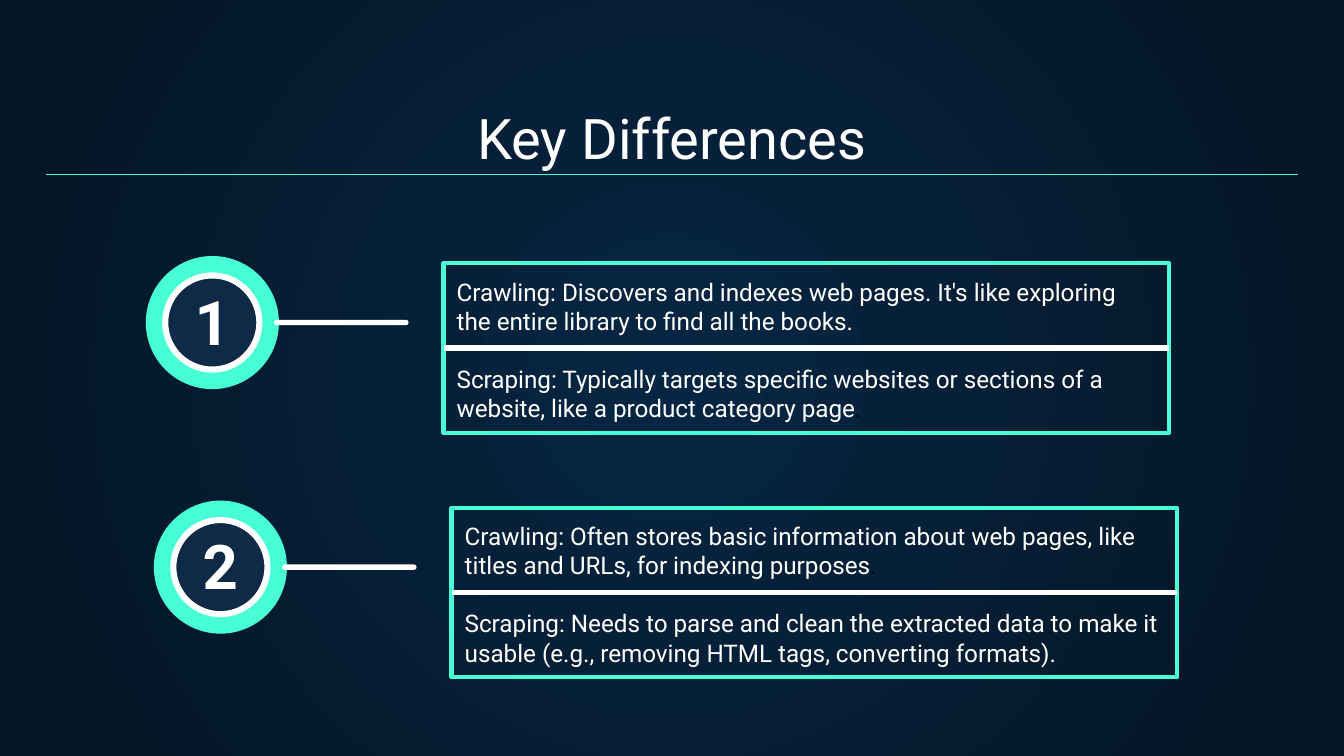
from lxml import etree
from pptx import Presentation
from pptx.dml.color import RGBColor
from pptx.enum import shapes, text
from pptx.oxml.ns import qn
from pptx.util import Inches, Pt

COLORS = {"mint": "48FFD5", "navy": "0E2A47", "white": "FFFFFF", "black": "000000",
          "glow": "052643", "edge": "041523"}

TITLE = "Key Differences"
# Each paragraph is its main text and a small dark full stop, if any.
ITEMS = [
    ("1", [("Crawling: Discovers and indexes web pages. It's like exploring "
            "the entire library to find all the books.", ""),
           ("Scraping: Typically targets specific websites or sections of a "
            "website, like a product category page", ".")]),
    ("2", [("Crawling: Often stores basic information about web pages, like "
            "titles and URLs, for indexing purposes", "."),
           ("Scraping: Needs to parse and clean the extracted data to make it "
            "usable (e.g., removing HTML tags, converting formats).", "")]),
]
SLIDE_W = 10
SLIDE_H = SLIDE_W * 9 / 16
CENTER_X, CENTER_Y = 1.58, 2.4      # badge of the first item
STEP_X, STEP_Y = 0.06, 1.82         # shift from one item to the next
BOX_W, BOX_H = 5.4, 1.26


def rgb(name):
    return RGBColor.from_string(COLORS[name])


def set_background(s):
    """Radial gradient, bright in the middle."""
    fill = s.background.fill
    fill.gradient()
    for stop, name in zip(fill.gradient_stops, ("glow", "edge")):
        stop.color.rgb = rgb(name)
    grad = s.background._cSld.find(".//" + qn("a:gradFill"))
    grad.remove(grad.find(qn("a:lin")))
    path = etree.SubElement(grad, qn("a:path"), path="circle")
    etree.SubElement(path, qn("a:fillToRect"), l="50000", t="50000", r="50000", b="50000")


def add_run(p, content, size=13, font="Roboto", color="white", bold=False):
    r = p.add_run()
    r.text = content
    r.font.size, r.font.name, r.font.bold = Pt(size), font, bold
    r.font.color.rgb = rgb(color)


def setup_frame(sp, anchor=text.MSO_ANCHOR.TOP):
    tf = sp.text_frame
    tf.word_wrap = True
    tf.auto_size = text.MSO_AUTO_SIZE.NONE
    tf.vertical_anchor = anchor
    tf.margin_left = tf.margin_right = tf.margin_top = tf.margin_bottom = Inches(0.1)
    return tf


def add_shape(s, kind, x, y, w, h, fill=None, line=None, width=0):
    sp = s.shapes.add_shape(kind, Inches(x), Inches(y), Inches(w), Inches(h))
    sp.shadow.inherit = False
    if fill:
        sp.fill.solid()
        sp.fill.fore_color.rgb = rgb(fill)
    else:
        sp.fill.background()
    if line:
        sp.line.color.rgb = rgb(line)
        sp.line.width = Pt(width)
    else:
        sp.line.fill.background()
    return sp


def add_disc(s, cx, cy, d, **fmt):
    add_shape(s, shapes.MSO_SHAPE.OVAL, cx - d / 2, cy - d / 2, d, d, **fmt)


def add_rule(s, x1, x2, y, color, width):
    c = s.shapes.add_connector(shapes.MSO_CONNECTOR.STRAIGHT,
                               Inches(x1), Inches(y), Inches(x2), Inches(y))
    c.line.color.rgb = rgb(color)
    c.line.width = Pt(width)
    etree.SubElement(c._element.spPr, qn("a:effectLst"))


def add_item(s, cx, cy, number, paragraphs):
    box_x = cx + 1.72
    box = add_shape(s, shapes.MSO_SHAPE.RECTANGLE, box_x, cy - 0.44, BOX_W, BOX_H,
                    line="mint", width=2.25)
    tf = setup_frame(box)
    tf.margin_right = Inches(0.12)
    for i, (main, stop) in enumerate(paragraphs):
        p = tf.add_paragraph() if i else tf.paragraphs[0]
        p.alignment = text.PP_ALIGN.LEFT
        p.space_before = Pt(15.5 * i)
        add_run(p, main)
        if stop:
            add_run(p, stop, size=11, font="Arial", color="black")
    add_rule(s, box_x, box_x + BOX_W, cy + 0.19, "white", 3)

    add_disc(s, cx, cy, 0.99, fill="mint")
    bar = add_shape(s, shapes.MSO_SHAPE.ROUNDED_RECTANGLE, cx + 0.46, cy - 0.02, 1, 0.04,
                    fill="white")
    bar.adjustments[0] = 0.5
    add_disc(s, cx, cy, 0.7, fill="navy", line="white", width=3.25)
    label = s.shapes.add_textbox(Inches(cx - 0.23), Inches(cy - 0.39), Inches(0.8), Inches(0.66))
    add_run(setup_frame(label).paragraphs[0], number, size=33, bold=True)


prs = Presentation()
prs.slide_width, prs.slide_height = Inches(SLIDE_W), Inches(SLIDE_H)
s = prs.slides.add_slide(prs.slide_layouts[5])
set_background(s)

title = s.shapes.title
title.left, title.top, title.width, title.height = map(Inches, (0.34, 0.71, 9.32, 0.66))
p = setup_frame(title, text.MSO_ANCHOR.BOTTOM).paragraphs[0]
p.alignment = text.PP_ALIGN.CENTER
add_run(p, TITLE, size=30)
add_rule(s, 0.34, 9.66, 1.3, "mint", 0.75)

for i, (number, paragraphs) in enumerate(ITEMS):
    add_item(s, CENTER_X + i * STEP_X, CENTER_Y + i * STEP_Y, number, paragraphs)

prs.save("out.pptx")
